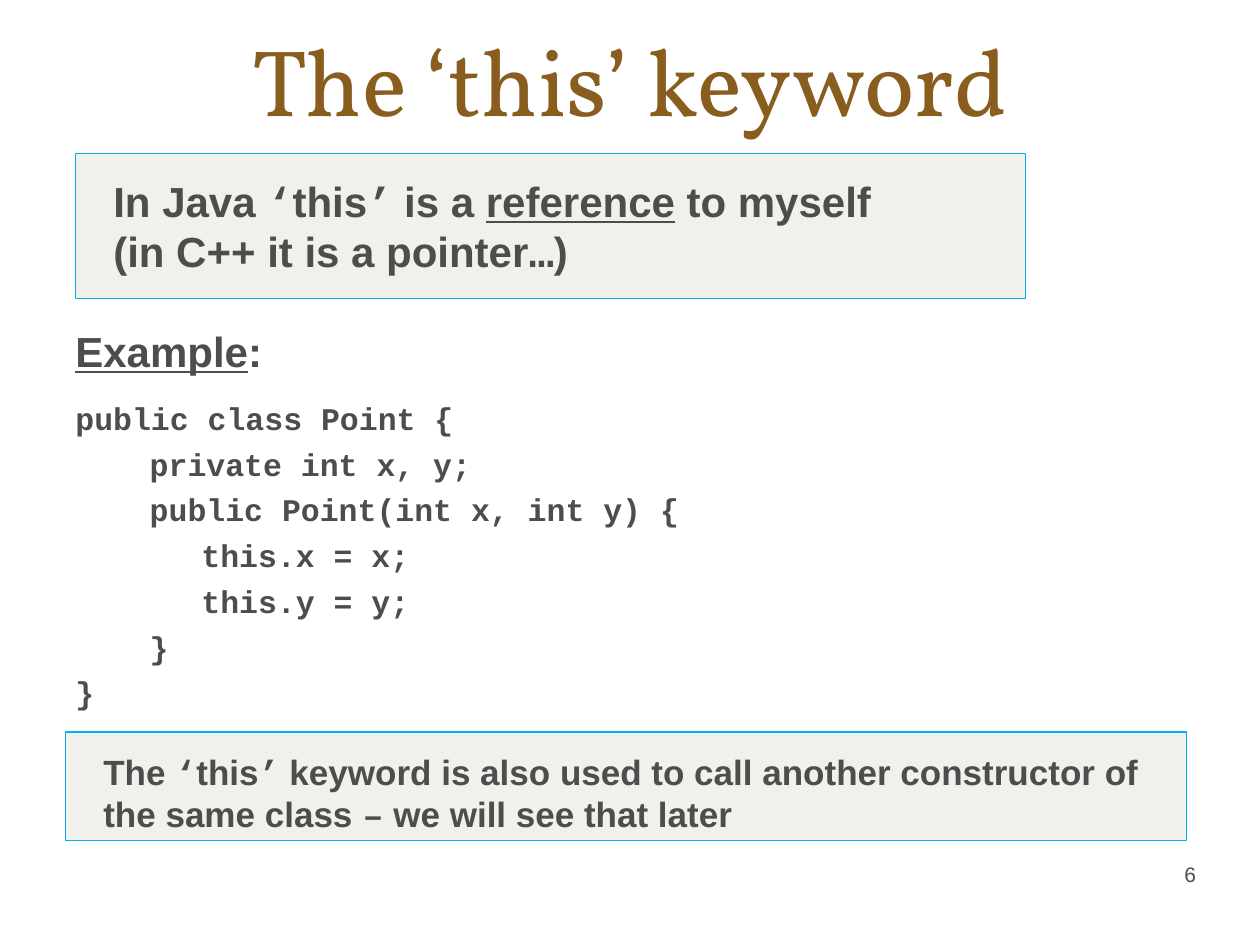
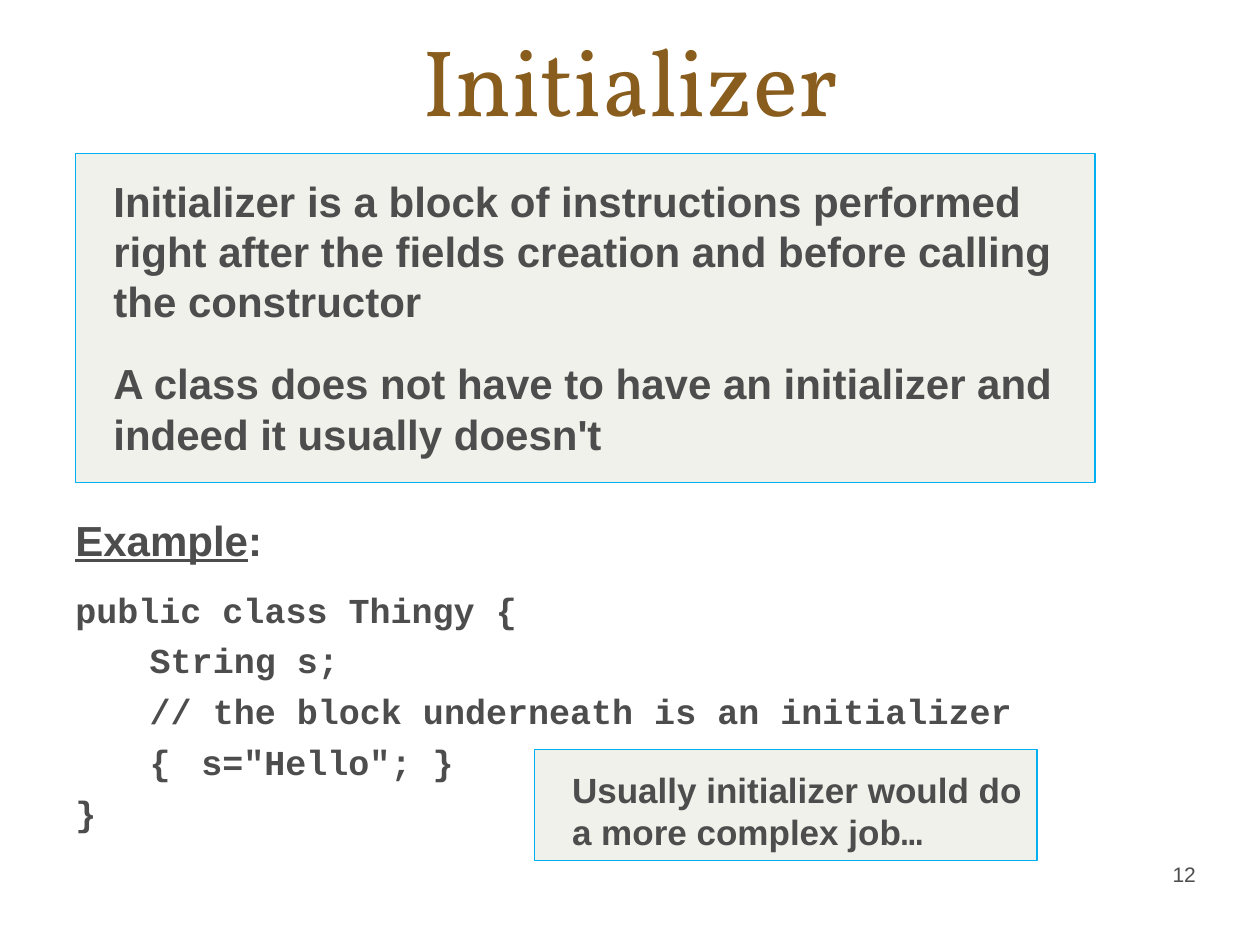
from itertools import groupby

from lxml import etree
from pptx import Presentation
from pptx.dml.color import RGBColor
from pptx.enum.shapes import MSO_SHAPE
from pptx.enum.text import MSO_ANCHOR, PP_ALIGN
from pptx.oxml.ns import qn
from pptx.util import Inches, Pt

RECT = MSO_SHAPE.RECTANGLE
TOP, MIDDLE = MSO_ANCHOR.TOP, MSO_ANCHOR.MIDDLE
LEFT, CENTER, RIGHT = PP_ALIGN.LEFT, PP_ALIGN.CENTER, PP_ALIGN.RIGHT

BROWN, GRAY, PALE, BLUE = "895D1D", "4D4D4D", "EFF1EA", "00B0F0"
SANS, MONO, SERIF = "Arial", "Courier New", "Vollkorn"
MONO_SYMBOLS = "‘’…–"
LINE_HEIGHT = 1.2
CODE_TABS = (0.59, 1)

SLIDES = [
    dict(
        title="The ‘this’ keyword", number="6",
        boxes=[
            (0.6, 1.22, 7.54, 1.15, 24, 0.17,
             ["In Java ‘this’ is a _reference_ to myself\n(in C++ it is a pointer…)"]),
            (0.52, 5.81, 8.9, 0.86, 20, 0.15,
             ["The ‘this’ keyword is also used to call another constructor of "
              "the same class – we will see that later"]),
        ],
        code_at=(0.5, 2.52, 9, 3.21), code_size=18,
        code=["public class Point {",
              "\tprivate int x, y;",
              "\tpublic Point(int x, int y) {",
              "\t\tthis.x = x;",
              "\t\tthis.y = y;",
              "\t}",
              "}"],
    ),
    dict(
        title="Initializer", number="12",
        boxes=[
            (0.6, 1.22, 8.09, 2.61, 24, 0.17,
             ["Initializer is a block of instructions performed right after "
              "the fields creation and before calling the constructor",
              "A class does not have to have an initializer and indeed it "
              "usually doesn't"]),
            (4.24, 5.95, 3.99, 0.88, 20, 0.15,
             ["Usually initializer would do a more complex job…"]),
        ],
        code_at=(0.5, 4.02, 9, 2.73), code_size=20,
        code=["public class Thingy {",
              "\tString s;",
              "\t// the block underneath is an initializer",
              "\t{\ts=\"Hello\"; }",
              "}"],
    ),
]


def rgb(color):
    return RGBColor.from_string(color)


def write(sp, lines, insets, anchor=TOP, align=LEFT, color=GRAY, bold=True):
    """Fill a shape with (text, size, font, space before) lines; _x_ underlines x."""
    tf = sp.text_frame
    tf.word_wrap = True
    tf.vertical_anchor = anchor
    tf.margin_left, tf.margin_top, tf.margin_right, tf.margin_bottom = map(Inches, insets)
    for i, (text, size, font, before) in enumerate(lines):
        p = tf.add_paragraph() if i else tf.paragraphs[0]
        p.alignment = align
        p.space_before = Pt(before)
        if font != SERIF:
            p.line_spacing = Pt(size * LINE_HEIGHT)
        if font == MONO:
            tabs = etree.SubElement(p._p.get_or_add_pPr(), qn("a:tabLst"))
            for pos in CODE_TABS:
                etree.SubElement(tabs, qn("a:tab"), pos=str(Inches(pos)), algn="l")
        for j, row in enumerate(text.split("\n")):
            if j:
                p.add_line_break()
            for k, part in enumerate(row.split("_")):
                for symbol, chars in groupby(part, lambda c: c in MONO_SYMBOLS):
                    r = p.add_run()
                    r.text = "".join(chars)
                    r.font.name = MONO if symbol and font == SANS else font
                    r.font.size = Pt(size)
                    r.font.bold = bold
                    r.font.underline = k % 2 == 1
                    r.font.color.rgb = rgb(color)


prs = Presentation()
prs.slide_width, prs.slide_height = Inches(10), Inches(7.5)

for content in SLIDES:
    s = prs.slides.add_slide(prs.slide_layouts[6])

    title = s.shapes.add_textbox(*map(Inches, (0, 0.16, 10, 0.93)))
    write(title, [(content["title"], 54, SERIF, 0)], (0, 0, 0, 0),
          MIDDLE, CENTER, BROWN, bold=False)

    number = s.shapes.add_textbox(*map(Inches, (7.26, 6.74, 2.33, 0.4)))
    write(number, [(content["number"], 12, SANS, 0)], (0.1, 0.05, 0.1, 0.05),
          MIDDLE, RIGHT, bold=False)

    size = content["code_size"]
    code = s.shapes.add_textbox(*map(Inches, content["code_at"]))
    lines = [("_Example_:", 24, SANS, 0)]
    for i, text in enumerate(content["code"]):
        lines.append((text, size, MONO, size / 4 if i else 13.5))
    write(code, lines, (0.1, 0.06, 0.1, 0.05))

    for x, y, w, h, size, top, texts in content["boxes"]:
        box = s.shapes.add_shape(RECT, *map(Inches, (x, y, w, h)))
        box.shadow.inherit = False
        box.fill.solid()
        box.fill.fore_color.rgb = rgb(PALE)
        box.line.color.rgb = rgb(BLUE)
        box.line.width = Pt(0.75)
        write(box, [(text, size, SANS, 18 if i else 0) for i, text in enumerate(texts)],
              (0.3, top, 0, 0))

prs.save("out.pptx")
